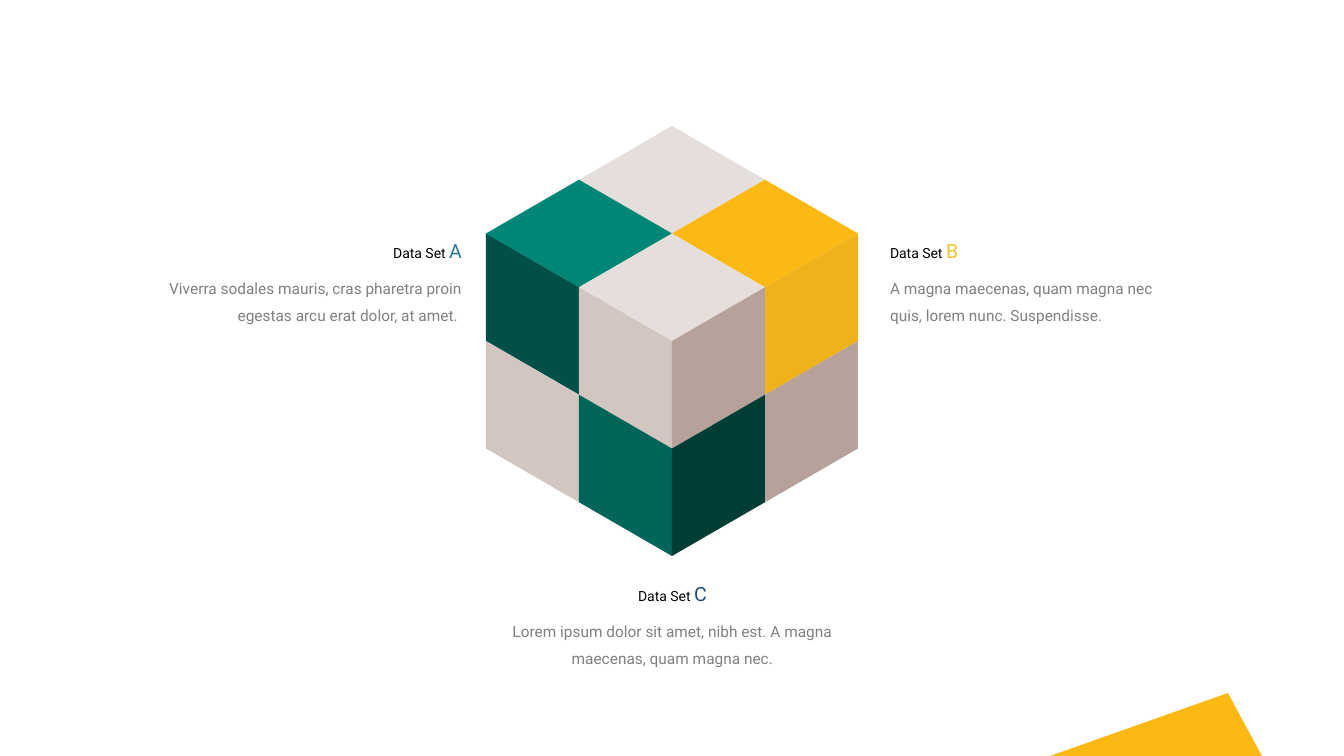
from pptx import Presentation
from pptx.dml.color import RGBColor
from pptx.enum.text import MSO_ANCHOR, MSO_AUTO_SIZE, PP_ALIGN
from pptx.util import Emu, Pt

SCALE = 914400 / 100.8
FONT = "Roboto"
GOLD, TEAL, PALE, SAND, CLAY = "FDB913", "008676", "E5DEDB", "D2C6C1", "B6A29A"
DOWN = (0, 2)
FACES = [
    ((2, 0), (1, 1), (-1, 1), (PALE, GOLD, TEAL, PALE)),
    ((0, 2), (1, 1), DOWN, ("005047", SAND, SAND, "006559")),
    ((2, 4), (1, -1), DOWN, (CLAY, "F0B21B", "003D35", CLAY)),
]
LABELS = [
    ((155, 233, 307), PP_ALIGN.RIGHT, "A", "2C7595",
     "Viverra sodales mauris, cras pharetra proin egestas arcu erat dolor, at amet. "),
    ((890, 233, 298), PP_ALIGN.LEFT, "B", "F6C231",
     "A magna maecenas, quam magna nec quis, lorem nunc. Suspendisse."),
    ((506, 576, 333), PP_ALIGN.CENTER, "C", "224E73",
     "Lorem ipsum dolor sit amet, nibh est. A magna maecenas, quam magna nec."),
]


def px(size):
    """Turn pixels into EMU."""
    return Emu(round(size * SCALE))


def rgb(code):
    """Turn a hex string into a colour."""
    return RGBColor.from_string(code)


def outline(slide, points, color):
    """Draw a filled polygon through points given in pixels."""
    start, *rest = [(px(x), px(y)) for x, y in points]
    pen = slide.shapes.build_freeform(*start)
    pen.add_line_segments(rest, close=True)
    shape = pen.convert_to_shape()
    shape.shadow.inherit = False
    shape.fill.solid()
    shape.fill.fore_color.rgb = rgb(color)
    shape.line.fill.background()


def cube(slide, box):
    """Draw the three visible faces of a cube, each as two by two tiles."""
    left, top, width, height = box
    for start, across, along, colors in FACES:
        for n, color in enumerate(colors):
            row, col = divmod(n, 2)
            corners = [(col, row), (col + 1, row), (col + 1, row + 1), (col, row + 1)]
            grid = [[s + a * i + b * j for s, a, b in zip(start, across, along)]
                    for i, j in corners]
            points = [(left + x * width / 4, top + y * height / 8) for x, y in grid]
            outline(slide, points, color)


def write(slide, box, align, anchor, runs, space=None):
    """Add a one-paragraph text box; runs hold text, size and colour."""
    shape = slide.shapes.add_textbox(*map(px, box))
    frame = shape.text_frame
    frame.word_wrap = True
    frame.auto_size = MSO_AUTO_SIZE.SHAPE_TO_FIT_TEXT
    frame.vertical_anchor = anchor
    frame.margin_left = frame.margin_right = 0
    para = frame.paragraphs[0]
    para.alignment = align
    para.line_spacing = space
    for text, size, color in runs:
        run = para.add_run()
        run.text = text
        run.font.name = FONT
        run.font.size = Pt(size)
        run.font.color.rgb = rgb(color)


def label(slide, box, align, letter, color, body):
    """Place a data set heading with its description below."""
    left, top, width = box
    write(slide, (left, top, width, 34), align, MSO_ANCHOR.BOTTOM,
          [("Data Set ", 10, "000000"), (letter, 14, color)])
    write(slide, (left, top + 33, width, 64), align, MSO_ANCHOR.TOP,
          [(body, 11, "808080")], Pt(19))


def accent(slide, box):
    """Draw the gold corner triangle."""
    left, top, width, height = box
    base = top + height
    outline(slide, [(left + 178, top), (left, base), (left + width, base)], GOLD)


def main():
    """Build the slide and save it."""
    deck = Presentation()
    deck.slide_width, deck.slide_height = px(1344), px(756)
    slide = deck.slides.add_slide(deck.slide_layouts[6])
    accent(slide, (1050, 693, 212, 63))
    for item in LABELS:
        label(slide, *item)
    cube(slide, (486, 126, 372, 430))
    deck.save("out.pptx")


if __name__ == "__main__":
    main()
